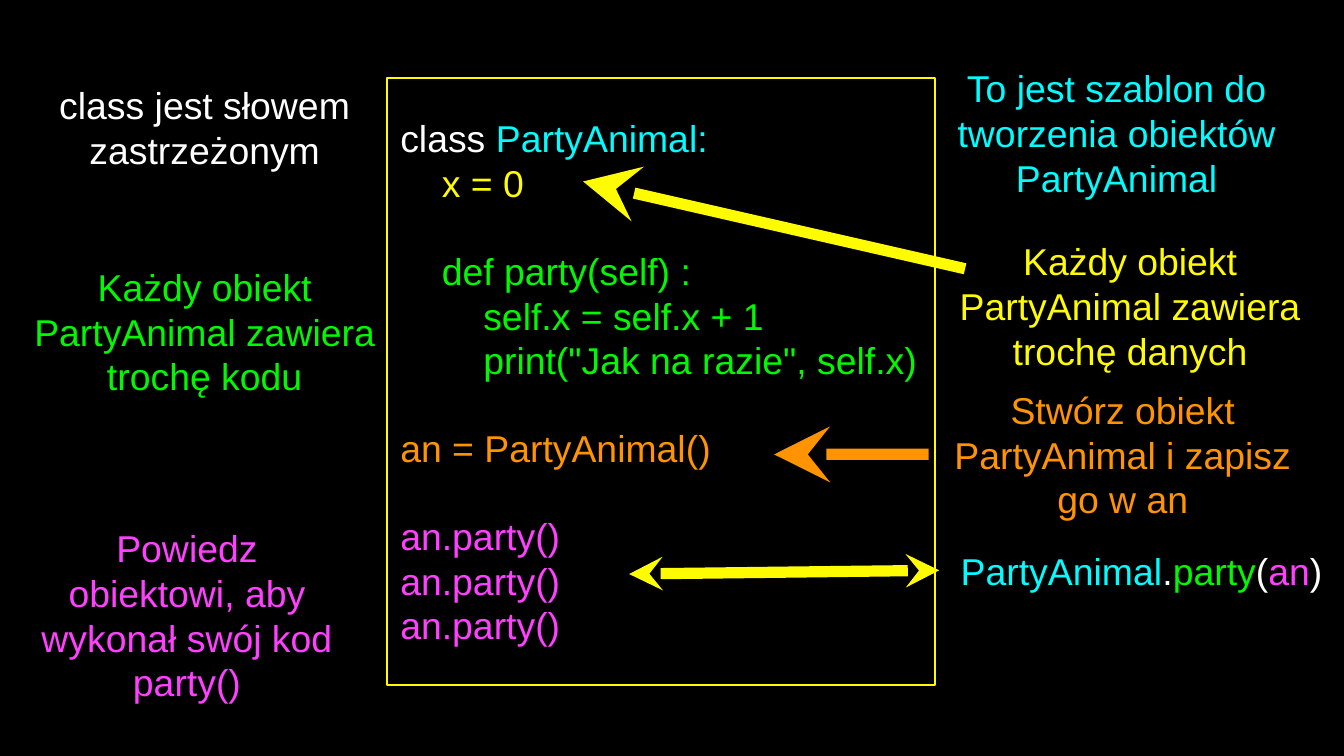
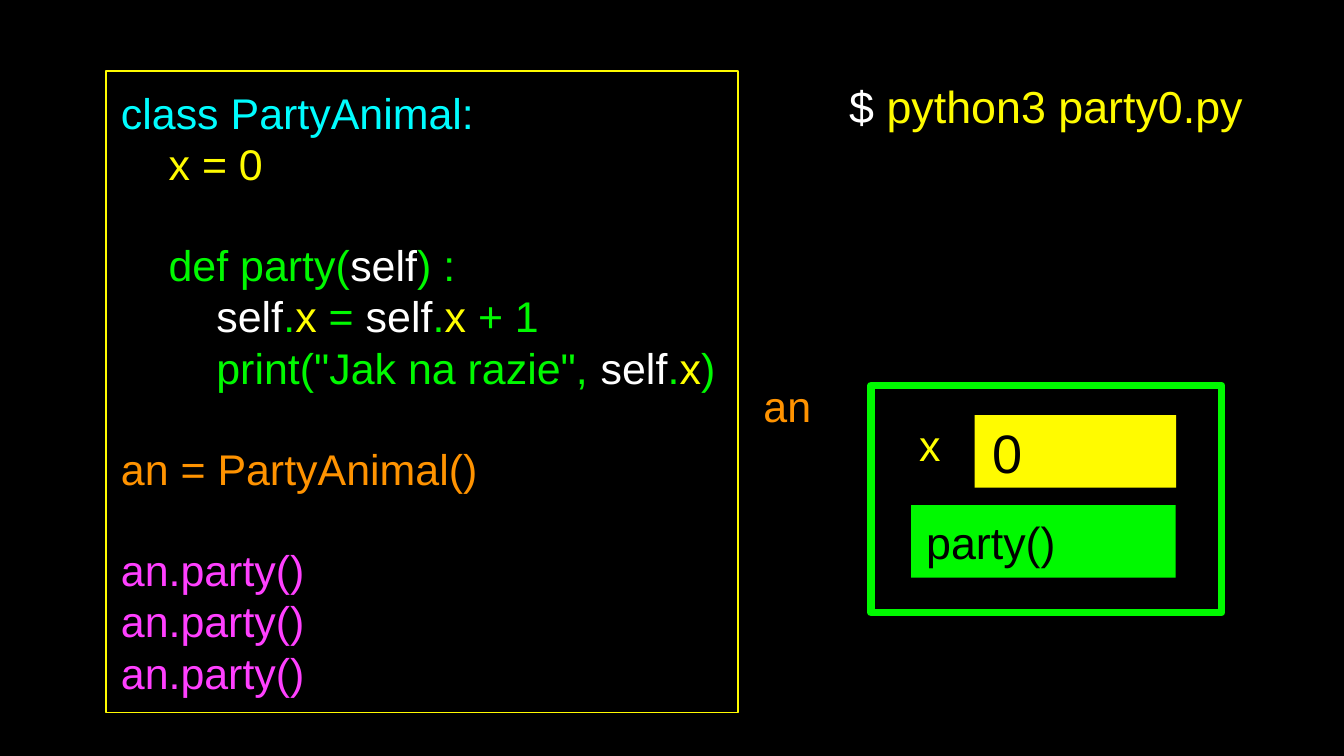
from lxml import etree
from pptx import Presentation
from pptx.dml.color import RGBColor
from pptx.enum.shapes import MSO_CONNECTOR, MSO_SHAPE
from pptx.enum.text import MSO_ANCHOR, PP_ALIGN
from pptx.oxml.ns import qn
from pptx.util import Cm, Pt

FONT = "Arial"
BLACK, WHITE = "000000", "FFFFFF"
YELLOW, LEMON, GREEN = "FFFB00", "FFFF00", "00F900"
CYAN, ORANGE, PINK = "00FDFF", "FF9300", "FF40FF"

# Code listings: (indent level, runs of (text, colour)); None is an empty line
FIELD_LINE = (1, [("x = 0", YELLOW)])
USAGE_LINES = [
    None,
    (0, [("an = PartyAnimal()", ORANGE)]),
    None,
] + [(0, [("an.party()", PINK)])] * 3
SELF_X = [("self", WHITE), (".", GREEN), ("x", LEMON)]

ANNOTATED_CODE = [
    (0, [("class ", WHITE), ("PartyAnimal:", CYAN)]),
    FIELD_LINE,
    None,
    (1, [("def party(self) :", GREEN)]),
    (2, [("self.x = self.x + 1", GREEN)]),
    (2, [('print("Jak na razie", self.x)', GREEN)]),
] + USAGE_LINES

TRACED_CODE = [
    (0, [("class PartyAnimal:", CYAN)]),
    FIELD_LINE,
    None,
    (1, [("def party(", GREEN), ("self", WHITE), (") :", GREEN)]),
    (2, SELF_X + [(" = ", GREEN)] + SELF_X + [(" + 1", GREEN)]),
    (2, [('print("Jak na razie", ', GREEN)] + SELF_X + [(")", GREEN)]),
] + USAGE_LINES

# Remarks around the listing: key -> (runs, (left, top, width, height) in cm)
REMARKS = {
    "template": ([("To jest szablon do tworzenia obiektów PartyAnimal", CYAN)],
                 (17.75, 1.07, 6.71, 2.87)),
    "keyword": ([("class jest słowem zastrzeżonym", WHITE)],
                (0.2, 1.47, 7.34, 1.85)),
    "data": ([("Każdy obiekt PartyAnimal zawiera trochę danych", YELLOW)],
             (17.83, 4.42, 7.06, 2.72)),
    "code": ([("Każdy obiekt PartyAnimal zawiera trochę kodu", GREEN)],
             (0.2, 4.9, 7.34, 2.72)),
    "create": ([("Stwórz obiekt PartyAnimal i zapisz go w an", ORANGE)],
               (17.55, 7.34, 7.34, 2.49)),
    "run": ([("Powiedz obiektowi, aby wykonał swój kod party()", PINK)],
            (0.69, 10.26, 5.69, 2.72)),
    "call": ([("PartyAnimal", CYAN), (".", WHITE), ("party", GREEN),
              ("(", WHITE), ("an", PINK), (")", WHITE)],
             (17.75, 10.26, 7.65, 1.04)),
}

# Arrows: (tip, end point or key of the remark it starts at, colour, head size, both ends)
ARROWS = [
    ((11.02, 3.43), (18.24, 5.08), YELLOW, "lg", False),
    ((11.89, 10.85), "call", YELLOW, "med", True),
    ((14.63, 8.59), "create", ORANGE, "lg", False),
]

# Object diagram
OBJECT_FRAME = (16.46, 7.29, 6.63, 4.29)
MEMBERS = [  # text, size, fill, box
    ("0", 29, YELLOW, (18.42, 7.85, 3.81, 1.37)),
    ("party()", 24, GREEN, (17.22, 9.55, 5, 1.37)),
]
CAPTIONS = [  # runs, size, alignment, box
    ([("an", ORANGE)], 23, PP_ALIGN.LEFT, (14.38, 7.14, 1.52, 1.04)),
    ([("x", LEMON)], 23, PP_ALIGN.CENTER, (17.04, 7.92, 1.07, 0.97)),
    ([("$", WHITE), (" python3 party0.py", YELLOW)], 24, PP_ALIGN.LEFT,
     (16, 1.47, 8.59, 1.04)),
]


def rgb(colour):
    return RGBColor.from_string(colour)


def cm(lengths):
    return [Cm(length) for length in lengths]


def space_width(size):
    """Width of one Arial space at the given size."""
    return Pt(size * 0.278)


def prepare(frame):
    frame.word_wrap = True
    frame.vertical_anchor = MSO_ANCHOR.MIDDLE
    frame.margin_left = frame.margin_right = Cm(0.05)
    frame.margin_top = frame.margin_bottom = Cm(0.05)
    return frame


def write(paragraph, runs, size, align=PP_ALIGN.LEFT, spaces=0):
    paragraph.alignment = align
    if spaces:
        properties = paragraph._p.get_or_add_pPr()
        properties.set("marL", str(int(space_width(size) * spaces)))
        properties.set("indent", "0")
    for text, colour in runs:
        run = paragraph.add_run()
        run.text = text
        run.font.name = FONT
        run.font.size = Pt(size)
        run.font.color.rgb = rgb(colour)


def add_label(slide, runs, box, size, align):
    label = slide.shapes.add_textbox(*cm(box))
    write(prepare(label.text_frame).paragraphs[0], runs, size, align)
    return label


def add_box(slide, box, fill=None, line=None, width=1):
    rectangle = slide.shapes.add_shape(MSO_SHAPE.RECTANGLE, *cm(box))
    rectangle.shadow.inherit = False
    if fill:
        rectangle.fill.solid()
        rectangle.fill.fore_color.rgb = rgb(fill)
    else:
        rectangle.fill.background()
    if line:
        rectangle.line.color.rgb = rgb(line)
        rectangle.line.width = Pt(width)
    else:
        rectangle.line.fill.background()
    return rectangle


def add_listing(slide, lines, box, size):
    frame = prepare(add_box(slide, box, line=YELLOW).text_frame)
    paragraph, gap = frame.paragraphs[0], 0
    for number, line in enumerate(lines):
        if line is None:
            gap = size * 1.15
            continue
        if number:
            paragraph = frame.add_paragraph()
        level, runs = line
        write(paragraph, runs, size, spaces=1 + 4 * level)
        paragraph.space_before = Pt(gap)
        gap = 0


def add_arrow(slide, tip, start, colour, head, both, remarks):
    end = (0, 0) if start in remarks else start
    arrow = slide.shapes.add_connector(MSO_CONNECTOR.STRAIGHT, *cm(tip + end))
    if start in remarks:
        arrow.end_connect(remarks[start], 1)
    arrow.line.color.rgb = rgb(colour)
    arrow.line.width = Pt(6)
    outline = arrow.line._get_or_add_ln()
    for tag in ["a:headEnd", "a:tailEnd"][:2 if both else 1]:
        etree.SubElement(outline, qn(tag), type="stealth", w=head, len=head)
    etree.SubElement(arrow._element.spPr, qn("a:effectLst"))


def build_annotated(slide):
    add_listing(slide, ANNOTATED_CODE, (7.32, 1.47, 10.36, 11.48), 20)
    remarks = {key: add_label(slide, runs, box, 20, PP_ALIGN.CENTER)
               for key, (runs, box) in REMARKS.items()}
    for arrow in ARROWS:
        add_arrow(slide, *arrow, remarks)


def build_traced(slide):
    add_box(slide, OBJECT_FRAME, line=GREEN, width=4)
    for text, size, fill, box in MEMBERS:
        member = prepare(add_box(slide, box, fill=fill).text_frame)
        write(member.paragraphs[0], [(text, BLACK)], size, spaces=1)
    add_listing(slide, TRACED_CODE, (2.01, 1.35, 11.94, 12.12), 23)
    for runs, size, align, box in CAPTIONS:
        add_label(slide, runs, box, size, align)


def main():
    deck = Presentation()
    deck.slide_width, deck.slide_height = Cm(25.4), Cm(14.29)
    # Black background shared by all slides
    backdrop = deck.slide_master.background.fill
    backdrop.solid()
    backdrop.fore_color.rgb = rgb(BLACK)
    blank = deck.slide_layouts[6]
    for build in (build_annotated, build_traced):
        build(deck.slides.add_slide(blank))
    deck.save("out.pptx")


if __name__ == "__main__":
    main()
